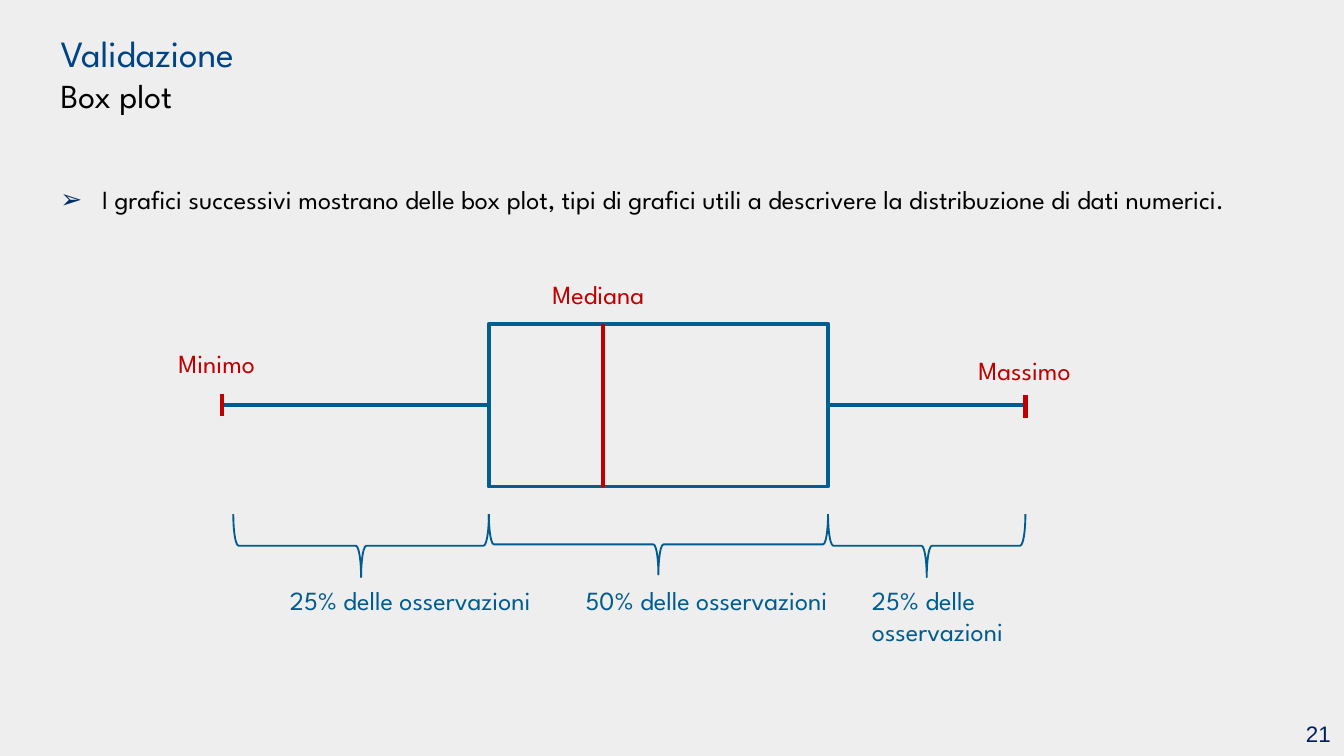
from dataclasses import dataclass

from lxml.etree import SubElement
from pptx import Presentation
from pptx.dml.color import RGBColor
from pptx.enum.shapes import MSO_CONNECTOR, MSO_SHAPE
from pptx.enum.text import MSO_ANCHOR, MSO_AUTO_SIZE, PP_ALIGN
from pptx.oxml.ns import qn
from pptx.util import Cm, Pt


@dataclass(frozen=True)
class Theme:
    back: str = "EEEEEE"
    head: str = "004485"
    ink: str = "000000"
    blue: str = "005C8E"
    edge: str = "005E90"
    red: str = "C00000"
    bullet: str = "002E69"
    number: str = "002060"
    font: str = "League Spartan"
    plain: str = "Arial"
    big: float = 19.8
    sub: float = 18
    text: float = 14
    small: float = 12
    thick: float = 2.25
    frame: float = 2
    thin: float = 1


@dataclass(frozen=True)
class Label:
    text: str
    left: float
    top: float
    width: float
    height: float
    color: str


@dataclass(frozen=True)
class Line:
    x1: float
    y1: float
    x2: float
    y2: float
    color: str


@dataclass(frozen=True)
class Brace:
    left: float
    right: float
    depth: float


THEME = Theme()

# Box plot positions, in cm
LOW, Q1, MEDIAN, Q3, HIGH = 4.19, 9.24, 11.4, 15.65, 19.38
TOP, MID, BASE = 6.12, 7.65, 9.2
CAP = 0.43
BRACE_TOP = 9.72

LINES = [
    Line(LOW, MID, Q1, MID, THEME.blue),
    Line(Q3, MID, HIGH, MID, THEME.blue),
    Line(MEDIAN, TOP, MEDIAN, BASE, THEME.red),
    Line(LOW, 7.44, LOW, 7.44 + CAP, THEME.red),
    Line(HIGH, 7.47, HIGH, 7.47 + CAP, THEME.red),
]
BRACES = [Brace(4.41, Q1, 1.19), Brace(Q1, Q3, 1.14), Brace(Q3, HIGH, 1.19)]
LABELS = [
    Label(text, left, top, 2.57, 0.86, THEME.red)
    for text, left, top in [
        ("Mediana", 10.19, 5.13),
        ("Minimo", 3.12, 6.45),
        ("Massimo", 18.24, 6.58),
    ]
] + [
    Label(f"{share}% delle osservazioni", left, 10.92, width, 1.45, THEME.blue)
    for share, left, width in [(25, 5.23, 5.16), (50, 10.82, 5.16), (25, 16.23, 3.99)]
]


def place(shape, left: float, top: float, width: float, height: float) -> None:
    shape.left, shape.top = Cm(left), Cm(top)
    shape.width, shape.height = Cm(width), Cm(height)


def add_run(para, text: str, size: float, color: str, font: str = THEME.font) -> None:
    run = para.add_run()
    run.text = text
    run.font.size = Pt(size)
    run.font.name = font
    run.font.color.rgb = RGBColor.from_string(color)


def stroke(line, color: str, width: float) -> None:
    line.color.rgb = RGBColor.from_string(color)
    line.width = Pt(width)


def add_bullet(para, char: str, color: str, indent: float) -> None:
    props = para._p.get_or_add_pPr()
    props.set("marL", str(Cm(indent)))
    props.set("indent", str(-Cm(indent)))
    fill = SubElement(props, qn("a:buClr"))
    SubElement(fill, qn("a:srgbClr"), val=color)
    SubElement(props, qn("a:buFont"), typeface=THEME.plain)
    SubElement(props, qn("a:buChar"), char=char)


def add_title(slide) -> None:
    title = slide.shapes.title
    place(title, 0.89, 0.84, 21.89, 1.09)
    frame = title.text_frame
    frame.auto_size = MSO_AUTO_SIZE.NONE
    frame.vertical_anchor = MSO_ANCHOR.MIDDLE
    para = frame.paragraphs[0]
    para.alignment = PP_ALIGN.LEFT
    add_run(para, "Validazione", THEME.big, THEME.head)
    para.add_line_break()
    add_run(para, "Box plot", THEME.sub, THEME.ink)


def add_body(slide) -> None:
    body = slide.placeholders[1]
    place(body, 0.89, 2.92, 23.5, 9.96)
    frame = body.text_frame
    frame.auto_size = MSO_AUTO_SIZE.NONE
    frame.margin_left = frame.margin_right = Cm(0.25)
    frame.margin_top = frame.margin_bottom = Cm(0.25)
    para = frame.paragraphs[0]
    add_bullet(para, "➢", THEME.bullet, 0.79)
    para.line_spacing = 1.5
    para.space_before = Pt(0)
    add_run(
        para,
        "I grafici successivi mostrano delle box plot, tipi di grafici utili "
        "a descrivere la distribuzione di dati numerici.",
        THEME.text,
        THEME.ink,
    )


def add_shape(slide, kind, color: str, width: float):
    shape = slide.shapes.add_shape(kind, 0, 0, 0, 0)
    shape.shadow.inherit = False
    shape.fill.background()
    stroke(shape.line, color, width)
    return shape


def add_line(slide, item: Line) -> None:
    ends = (Cm(v) for v in (item.x1, item.y1, item.x2, item.y2))
    line = slide.shapes.add_connector(MSO_CONNECTOR.STRAIGHT, *ends)
    SubElement(line._element.spPr, qn("a:effectLst"))
    stroke(line.line, item.color, THEME.thick)


def add_brace(slide, item: Brace) -> None:
    """Turn a left brace about its centre so that it points down."""
    span = item.right - item.left
    left = (item.left + item.right - item.depth) / 2
    top = BRACE_TOP + (item.depth - span) / 2
    brace = add_shape(slide, MSO_SHAPE.LEFT_BRACE, THEME.blue, THEME.thin)
    place(brace, left, top, item.depth, span)
    brace.rotation = 270


def add_label(slide, item: Label) -> None:
    box = slide.shapes.add_textbox(0, 0, 0, 0)
    place(box, item.left, item.top, item.width, item.height)
    box.text_frame.word_wrap = True
    add_run(box.text_frame.paragraphs[0], item.text, THEME.text, item.color)


def add_number(slide) -> None:
    box = slide.shapes.add_textbox(Cm(23.77), Cm(13.44), Cm(1.63), Cm(0.84))
    box.text_frame.word_wrap = True
    box.text_frame.vertical_anchor = MSO_ANCHOR.MIDDLE
    para = box.text_frame.paragraphs[0]
    para.alignment = PP_ALIGN.RIGHT
    add_run(para, "21", THEME.small, THEME.number, THEME.plain)


def main() -> None:
    deck = Presentation()
    deck.slide_width, deck.slide_height = Cm(25.4), Cm(14.29)
    slide = deck.slides.add_slide(deck.slide_layouts[1])
    slide.background.fill.solid()
    slide.background.fill.fore_color.rgb = RGBColor.from_string(THEME.back)
    add_title(slide)
    add_body(slide)
    box = add_shape(slide, MSO_SHAPE.RECTANGLE, THEME.edge, THEME.frame)
    place(box, Q1, TOP, Q3 - Q1, BASE - TOP)
    for line in LINES:
        add_line(slide, line)
    for brace in BRACES:
        add_brace(slide, brace)
    for label in LABELS:
        add_label(slide, label)
    add_number(slide)
    deck.save("out.pptx")


if __name__ == "__main__":
    main()
